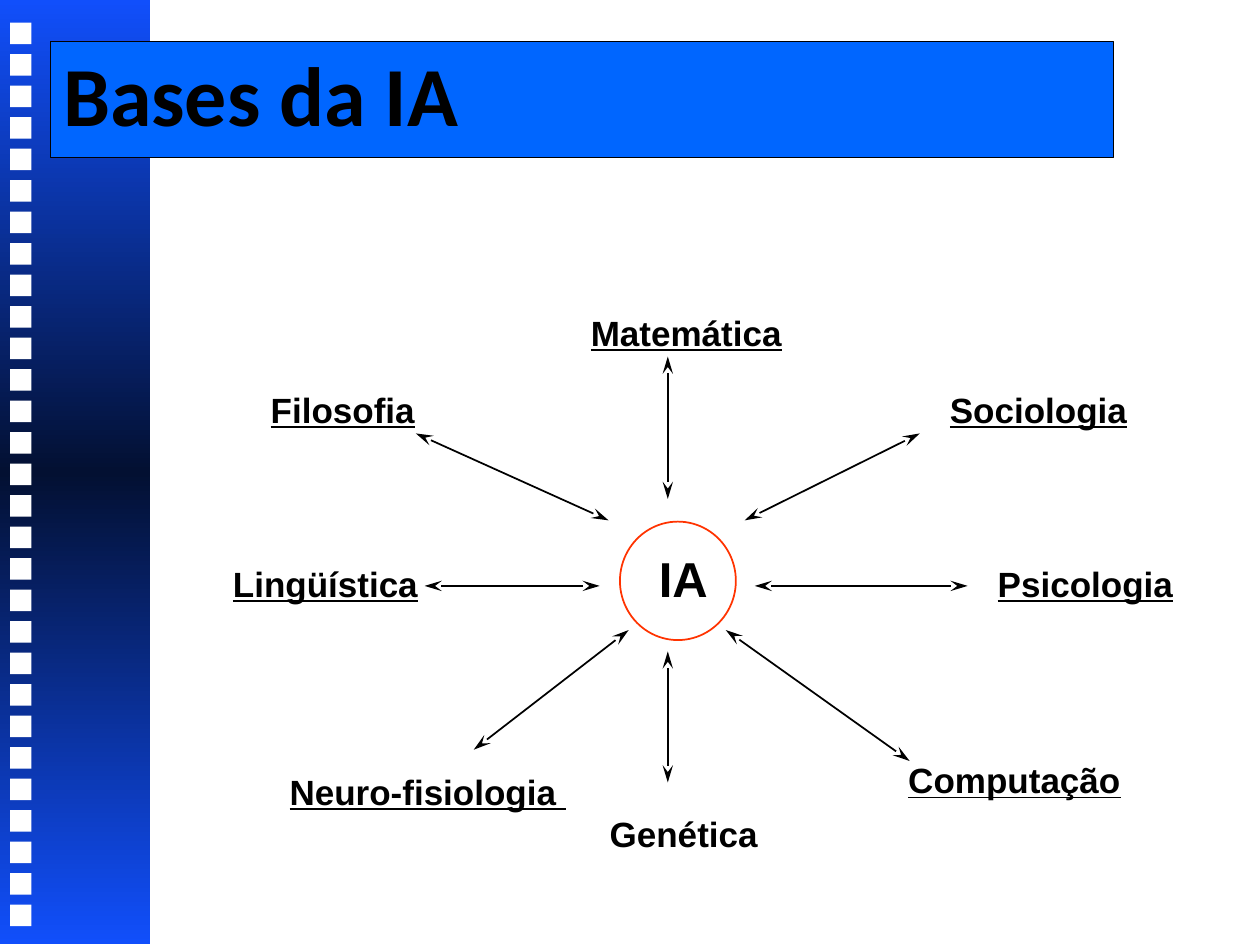
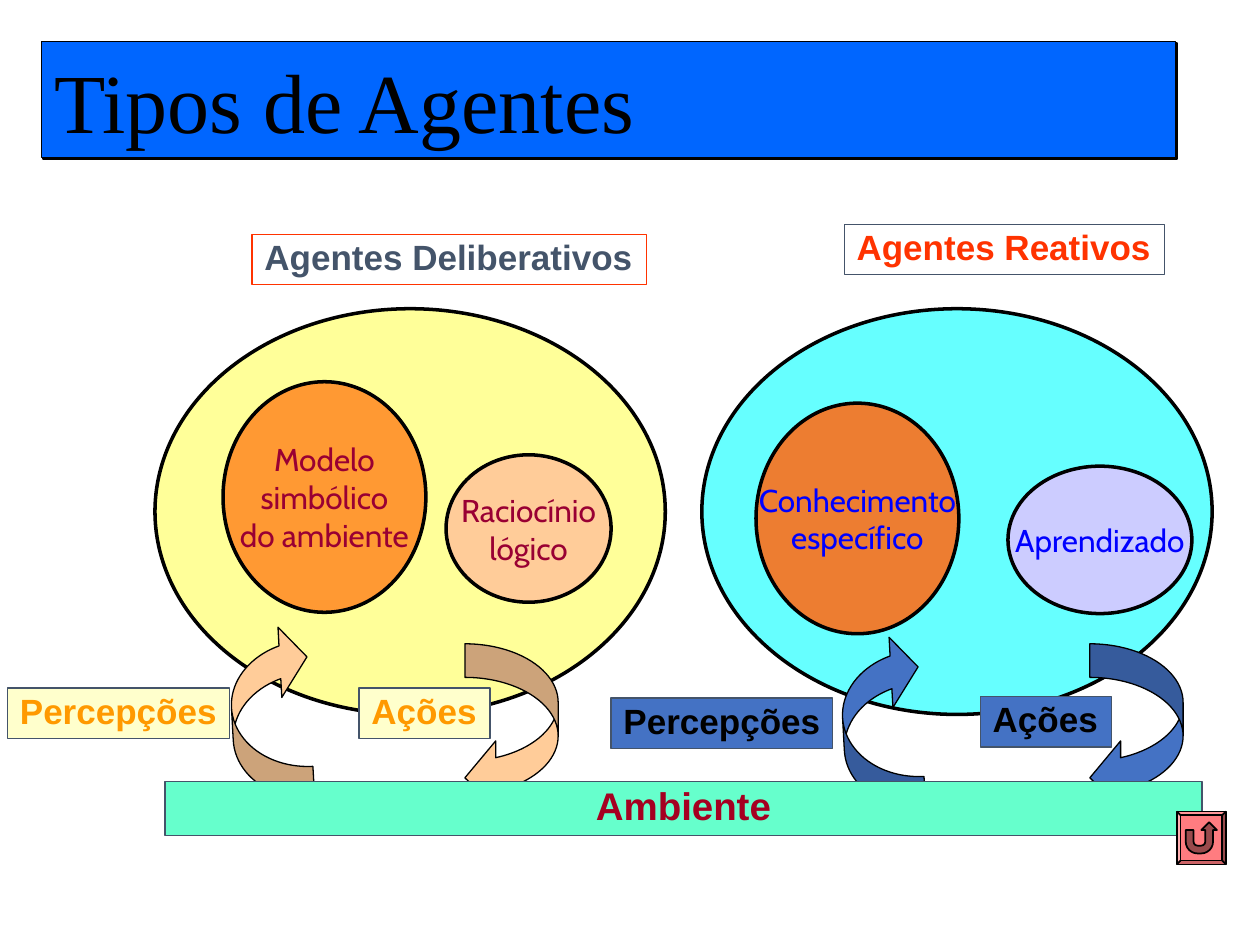
from copy import deepcopy
from dataclasses import dataclass

from lxml import etree
from pptx import Presentation
from pptx.dml.color import RGBColor
from pptx.enum.shapes import MSO_CONNECTOR, MSO_SHAPE
from pptx.enum.text import MSO_ANCHOR, MSO_AUTO_SIZE, PP_ALIGN
from pptx.oxml.ns import qn
from pptx.util import Inches, Pt

RECTANGLE = MSO_SHAPE.RECTANGLE
OVAL = MSO_SHAPE.OVAL
BEVEL = MSO_SHAPE.BEVEL
CURVED_ARROW = MSO_SHAPE.CURVED_LEFT_ARROW
RETURN_BUTTON = MSO_SHAPE.ACTION_BUTTON_RETURN
STRAIGHT = MSO_CONNECTOR.STRAIGHT
LEFT, CENTER = PP_ALIGN.LEFT, PP_ALIGN.CENTER
TOP, MIDDLE = MSO_ANCHOR.TOP, MSO_ANCHOR.MIDDLE
NO_FIT, GROW = MSO_AUTO_SIZE.NONE, MSO_AUTO_SIZE.SHAPE_TO_FIT_TEXT

BLACK, WHITE = "000000", "FFFFFF"
TITLE_BLUE, BAND_BLUE, BAND_DARK = "0066FF", "114FFB", "031032"
RED, SLATE, MAROON, BLUE = "FF3300", "44546A", "990033", "0000FF"
BUTTON_PINK = "FF7C80"
BODY_FONT, BUBBLE_FONT = "Arial", "Cabin"
LABEL_HEIGHT = 0.4


def rgb(color):
    return RGBColor.from_string(color)


def paint(shape, fill=None, line=None, width=0.75):
    if fill:
        shape.fill.solid()
        shape.fill.fore_color.rgb = rgb(fill)
    else:
        shape.fill.background()
    if line:
        shape.line.color.rgb = rgb(line)
        shape.line.width = Pt(width)
    else:
        shape.line.fill.background()


def add_shape(slide, kind, box, fill=None, line=None, width=0.75):
    shape = slide.shapes.add_shape(kind, *map(Inches, box))
    shape.shadow.inherit = False
    paint(shape, fill, line, width)
    return shape


def write(shape, text, size, color, font=BODY_FONT, bold=False, underline=False,
          align=LEFT, anchor=TOP, spacing=0.9, wrap=False, fit=NO_FIT):
    """Set the text of a shape and give every paragraph one format."""
    frame = shape.text_frame
    frame.text = text
    frame.word_wrap = wrap
    frame.auto_size = fit
    frame.vertical_anchor = anchor
    for paragraph in frame.paragraphs:
        paragraph.alignment = align
        paragraph.line_spacing = spacing
        for run in paragraph.runs:
            run.font.size = Pt(size)
            run.font.name = font
            run.font.bold = bold
            run.font.underline = underline
            run.font.color.rgb = rgb(color)


def add_title(slide, box, text, font, bold, spacing, line_width):
    """Format the title placeholder and bring it to the front."""
    title = slide.shapes.title
    title.left, title.top, title.width, title.height = map(Inches, box)
    paint(title, TITLE_BLUE, BLACK, line_width)
    write(title, text, 48, BLACK, font, bold, anchor=MIDDLE, spacing=spacing, wrap=True)
    slide.shapes._spTree.append(title._element)
    return title


def add_hard_shadow(shape):
    effects = etree.SubElement(shape._element.spPr, qn("a:effectLst"))
    shadow = etree.SubElement(effects, qn("a:outerShdw"), dist="17780", dir="2700000",
                              algn="ctr", rotWithShape="0")
    etree.SubElement(shadow, qn("a:srgbClr"), val=BLACK)


def add_film_band(slide, box):
    left, top = box[:2]
    band = add_shape(slide, RECTANGLE, box)
    band.fill.gradient()
    stops = band._element.spPr.find(qn("a:gradFill")).find(qn("a:gsLst"))
    stops.insert(1, deepcopy(stops[0]))
    band.fill.gradient_angle = 90
    colors = (BAND_BLUE, BAND_DARK, BAND_BLUE)
    for index, (stop, color) in enumerate(zip(band.fill.gradient_stops, colors)):
        stop.color.rgb = rgb(color)
        stop.position = index / 2
    for index in range(29):
        hole = (left + 0.08, top + 0.18 + 0.25 * index, 0.17, 0.17)
        add_shape(slide, RECTANGLE, hole, WHITE)


def add_double_arrow(slide, start, end):
    connector = slide.shapes.add_connector(STRAIGHT, *map(Inches, (*start, *end)))
    connector.line.color.rgb = rgb(BLACK)
    connector.line.width = Pt(1)
    line = connector.line._get_or_add_ln()
    for tag in ("a:headEnd", "a:tailEnd"):
        etree.SubElement(line, qn(tag), type="stealth", w="med", len="lg")
    etree.SubElement(connector._element.spPr, qn("a:effectLst"))


def add_foundations_map(slide, center):
    """Draw the hub, the fields around it and the arrows, as offsets from center."""
    x, y = center
    fields = [
        ("Matemática", -0.71, -2.19, 1.72, True),
        ("Sociologia", 2.14, -1.58, 1.61, True),
        ("Psicologia", 2.52, -0.2, 1.59, True),
        ("Filosofia", -3.25, -1.58, 1.42, True),
        ("Lingüística", -3.55, -0.2, 1.75, True),
        ("Computação", 1.81, 1.36, 1.89, True),
        ("Neuro-fisiologia ", -3.1, 1.45, 2.4, True),
        ("Genética", -0.56, 1.79, 1.38, False),
    ]
    for text, dx, dy, width, underline in fields:
        label = slide.shapes.add_textbox(
            *map(Inches, (x + dx, y + dy, width, LABEL_HEIGHT)))
        write(label, text, 20, BLACK, bold=True, underline=underline, fit=GROW)

    hub_label = slide.shapes.add_textbox(
        *map(Inches, (x - 0.17, y - 0.29, 0.59, 0.52)))
    write(hub_label, "IA", 28, BLACK, bold=True, fit=GROW)
    add_shape(slide, OVAL, (x - 0.38, y - 0.51, 0.92, 0.94), line=RED, width=1)

    arrows = [
        (0, -1.82, 0, -0.69),
        (-0.47, -0.52, -2, -1.21),
        (0.69, 0, 2.38, 0),
        (0.61, -0.52, 2, -1.21),
        (0.46, 0.35, 1.92, 1.39),
        (-0.54, 0, -1.93, 0),
        (-0.31, 0.35, -1.54, 1.3),
        (0, 0.52, 0, 1.56),
    ]
    for x1, y1, x2, y2 in arrows:
        add_double_arrow(slide, (x + x1, y + y1), (x + x2, y + y2))


@dataclass
class Agent:
    """One agent type; every box is an offset from its big ellipse."""
    fill: str
    heading: str
    heading_box: tuple
    heading_color: str
    heading_line: str
    bubbles: list
    bubble_color: str
    arrow_fill: str
    arrow_in: tuple
    arrow_out: tuple
    labels: list
    label_fill: str
    label_color: str


DELIBERATIVE = Agent(
    fill="FFFF99", heading="Agentes Deliberativos", heading_box=(0.77, -0.59, 3.13),
    heading_color=SLATE, heading_line=RED,
    bubbles=[("Modelo\nsimbólico\ndo ambiente", (0.54, 0.58, 1.61, 1.83), "FF9933"),
             ("Raciocínio\nlógico", (2.31, 1.16, 1.31, 1.17), "FFCC99")],
    bubble_color=MAROON, arrow_fill="FFCC99", arrow_in=(0.61, 2.5), arrow_out=(2.46, 2.66),
    labels=[("Percepções", (-1.17, 3.01, 1.76)), ("Ações", (1.62, 3.01, 1.04))],
    label_fill="FFFFCC", label_color="FF9900")

REACTIVE = Agent(
    fill="66FFFF", heading="Agentes Reativos", heading_box=(1.13, -0.67, 2.54),
    heading_color=RED, heading_line=SLATE,
    bubbles=[("Conhecimento\nespecífico", (0.43, 0.75, 1.61, 1.83), "ED7D31"),
             ("Aprendizado", (2.43, 1.25, 1.46, 1.17), "CCCCFF")],
    bubble_color=BLUE, arrow_fill="4472C4", arrow_in=(1.12, 2.58), arrow_out=(3.08, 2.66),
    labels=[("Percepções", (-0.72, 3.09, 1.76)), ("Ações", (2.21, 3.08, 1.04))],
    label_fill="4472C4", label_color=BLACK)


def add_label(slide, box, text, color, fill, line):
    label = add_shape(slide, RECTANGLE, (*box, LABEL_HEIGHT), fill, line)
    write(label, text, 20, color, bold=True, spacing=0.89, fit=GROW)


def add_curved_arrow(slide, box, fill, adjustments, rotation=0):
    arrow = add_shape(slide, CURVED_ARROW, box, fill, BLACK)
    for index, value in enumerate(adjustments):
        arrow.adjustments[index] = value
    arrow.rotation = rotation


def add_agent(slide, box, agent):
    left, top = box[:2]

    def place(offset):
        return (left + offset[0], top + offset[1], *offset[2:])

    add_shape(slide, OVAL, box, agent.fill, BLACK, 2)
    add_label(slide, place(agent.heading_box), agent.heading, agent.heading_color,
              None, agent.heading_line)
    for text, offset, fill in agent.bubbles:
        bubble = add_shape(slide, OVAL, place(offset), fill, BLACK, 2)
        write(bubble, text, 18, agent.bubble_color, BUBBLE_FONT,
              align=CENTER, anchor=MIDDLE, spacing=1.0)
    add_curved_arrow(slide, (*place(agent.arrow_in), 0.62, 1.41), agent.arrow_fill,
                     (0.42, 0.9, 0.35), rotation=176.9)
    add_curved_arrow(slide, (*place(agent.arrow_out), 0.74, 1.33), agent.arrow_fill,
                     (0.36, 0.72, 0.33))
    for text, offset in agent.labels:
        add_label(slide, place(offset), text, agent.label_color, agent.label_fill, SLATE)


def add_return_button(slide, box):
    left, top, width, height = box
    rim = 0.03
    frame = add_shape(slide, BEVEL, box, BUTTON_PINK, BLACK, 1)
    frame.adjustments[0] = rim / min(width, height)
    face = (left + rim, top + rim, width - 2 * rim, height - 2 * rim)
    add_shape(slide, RETURN_BUTTON, face, BUTTON_PINK, BLACK, 1)


def add_environment(slide, box):
    left, top, width, _ = box
    bar = add_shape(slide, RECTANGLE, box, "66FFCC", SLATE)
    write(bar, "Ambiente", 22, "A50021", bold=True, align=CENTER, spacing=0.89, wrap=True)
    add_return_button(slide, (left + width - 0.2, top + 0.24, 0.39, 0.42))


def build_foundations(slide):
    add_film_band(slide, (0, 0, 1.19, 7.49))
    add_foundations_map(slide, (5.3, 4.65))
    add_title(slide, (0.4, 0.33, 8.44, 0.92), "Bases da IA", "Calibri", True, 0.9, 0.75)


def build_agent_types(slide):
    for left, agent in ((1.23, DELIBERATIVE), (5.57, REACTIVE)):
        add_agent(slide, (left, 2.45, 4.05, 3.22), agent)
    add_environment(slide, (1.31, 6.2, 8.23, 0.43))
    title = add_title(slide, (0.33, 0.33, 9, 0.92), "Tipos de Agentes",
                      "Times New Roman", False, 1.0, 1)
    add_hard_shadow(title)


def main():
    presentation = Presentation()
    presentation.slide_width = Inches(10)
    presentation.slide_height = Inches(7.5)
    title_only = presentation.slide_layouts[5]
    for build in (build_foundations, build_agent_types):
        build(presentation.slides.add_slide(title_only))
    presentation.save("out.pptx")


if __name__ == "__main__":
    main()
